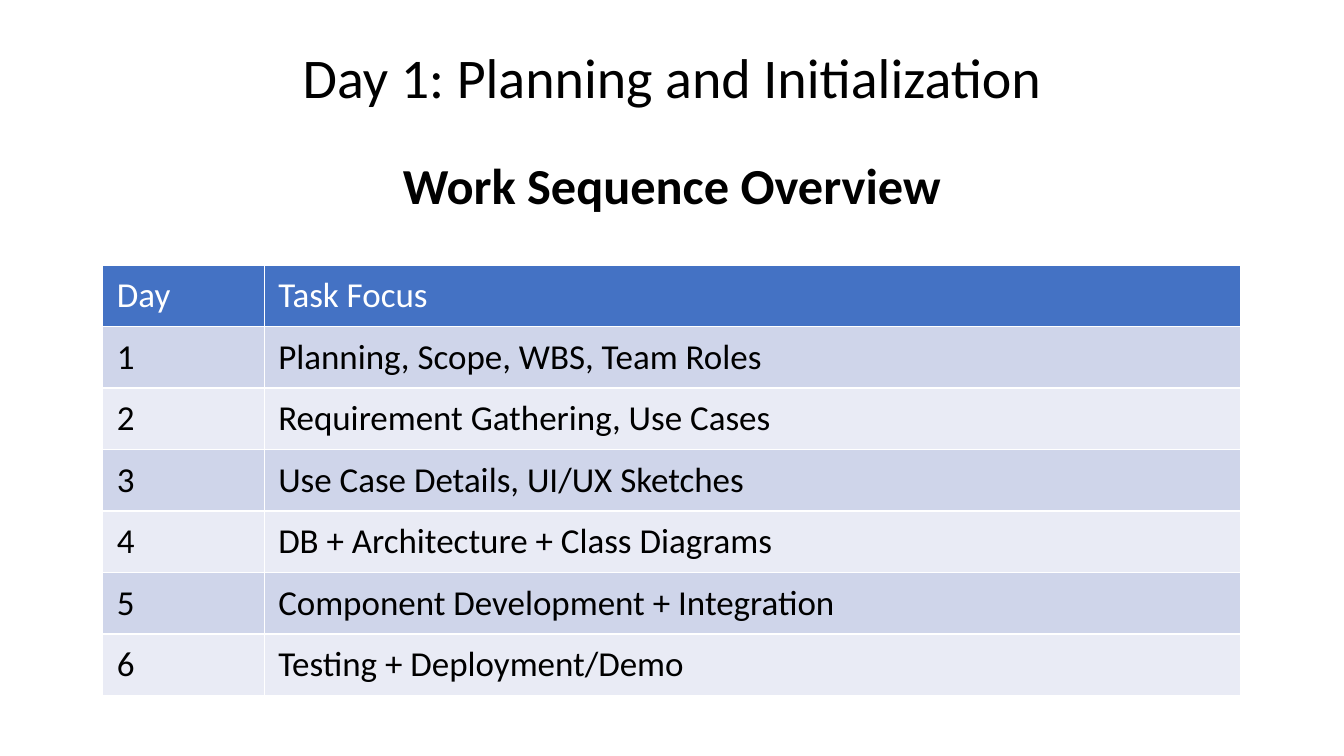
from lxml import etree
from pptx import Presentation
from pptx import util as u
from pptx.dml.color import RGBColor
from pptx.enum import text
from pptx.oxml import ns

FONT = "Calibri"
COLORS = {"ink": "000000", "white": "FFFFFF", "header": "4472C4",
          "odd": "CFD5EA", "even": "E9EBF5"}
TITLE = "Day 1: Planning and Initialization"
SUBTITLE = "Work Sequence Overview"
HEADINGS = ("Day", "Task Focus")
TASKS = [
    "Planning, Scope, WBS, Team Roles",
    "Requirement Gathering, Use Cases",
    "Use Case Details, UI/UX Sketches",
    "DB + Architecture + Class Diagrams",
    "Component Development + Integration",
    "Testing + Deployment/Demo",
]
COLUMN_WIDTHS = (1.6, 9.68)
ROW_HEIGHT = 0.61


def style_font(paragraph, size, color, bold=False):
    font = paragraph.font
    font.name, font.size, font.bold = FONT, u.Pt(size), bold
    font.color.rgb = RGBColor.from_string(COLORS[color])


def add_heading(slide, content, top, height, size, anchor, bold=False):
    box = slide.shapes.add_textbox(
        u.Inches(1.1), u.Inches(top), u.Inches(11.13), u.Inches(height))
    frame = box.text_frame
    frame.word_wrap = True
    frame.vertical_anchor = anchor
    frame.margin_top = frame.margin_bottom = 0
    paragraph = frame.paragraphs[0]
    paragraph.text = content
    paragraph.alignment = text.PP_ALIGN.CENTER
    paragraph.line_spacing = 0.9
    style_font(paragraph, size, "ink", bold)


def add_borders(cell):
    properties = cell._tc.get_or_add_tcPr()
    for side in ("lnL", "lnR", "lnT", "lnB"):
        line = etree.SubElement(properties, ns.qn(f"a:{side}"), w=str(u.Pt(1)))
        fill = etree.SubElement(line, ns.qn("a:solidFill"))
        etree.SubElement(fill, ns.qn("a:srgbClr"), val=COLORS["white"])


def fill_cell(cell, content, fill, color):
    add_borders(cell)
    cell.fill.solid()
    cell.fill.fore_color.rgb = RGBColor.from_string(COLORS[fill])
    cell.vertical_anchor = text.MSO_ANCHOR.MIDDLE
    cell.margin_left = cell.margin_right = u.Inches(0.14)
    cell.margin_top = cell.margin_bottom = u.Inches(0.07)
    paragraph = cell.text_frame.paragraphs[0]
    paragraph.text = content
    style_font(paragraph, 25, color)


def add_schedule(slide):
    rows = [HEADINGS] + [(str(day), task) for day, task in enumerate(TASKS, 1)]
    table = slide.shapes.add_table(
        len(rows), len(HEADINGS), u.Inches(1.02), u.Inches(2.63),
        u.Inches(sum(COLUMN_WIDTHS)), u.Inches(ROW_HEIGHT * len(rows))).table
    for column, width in zip(table.columns, COLUMN_WIDTHS):
        column.width = u.Inches(width)
    for day, row in enumerate(rows):
        table.rows[day].height = u.Inches(ROW_HEIGHT)
        fill = "header" if day == 0 else "odd" if day % 2 else "even"
        color = "white" if day == 0 else "ink"
        for cell, content in zip(table.rows[day].cells, row):
            fill_cell(cell, content, fill, color)


def main():
    presentation = Presentation()
    presentation.slide_width = u.Inches(13.33)
    presentation.slide_height = u.Inches(7.5)
    slide = presentation.slides.add_slide(presentation.slide_layouts[6])
    add_heading(slide, TITLE, 0.19, 1.22, 40, text.MSO_ANCHOR.MIDDLE)
    add_heading(slide, SUBTITLE, 1.6, 0.84, 36, text.MSO_ANCHOR.TOP, bold=True)
    add_schedule(slide)
    presentation.save("out.pptx")


if __name__ == "__main__":
    main()
